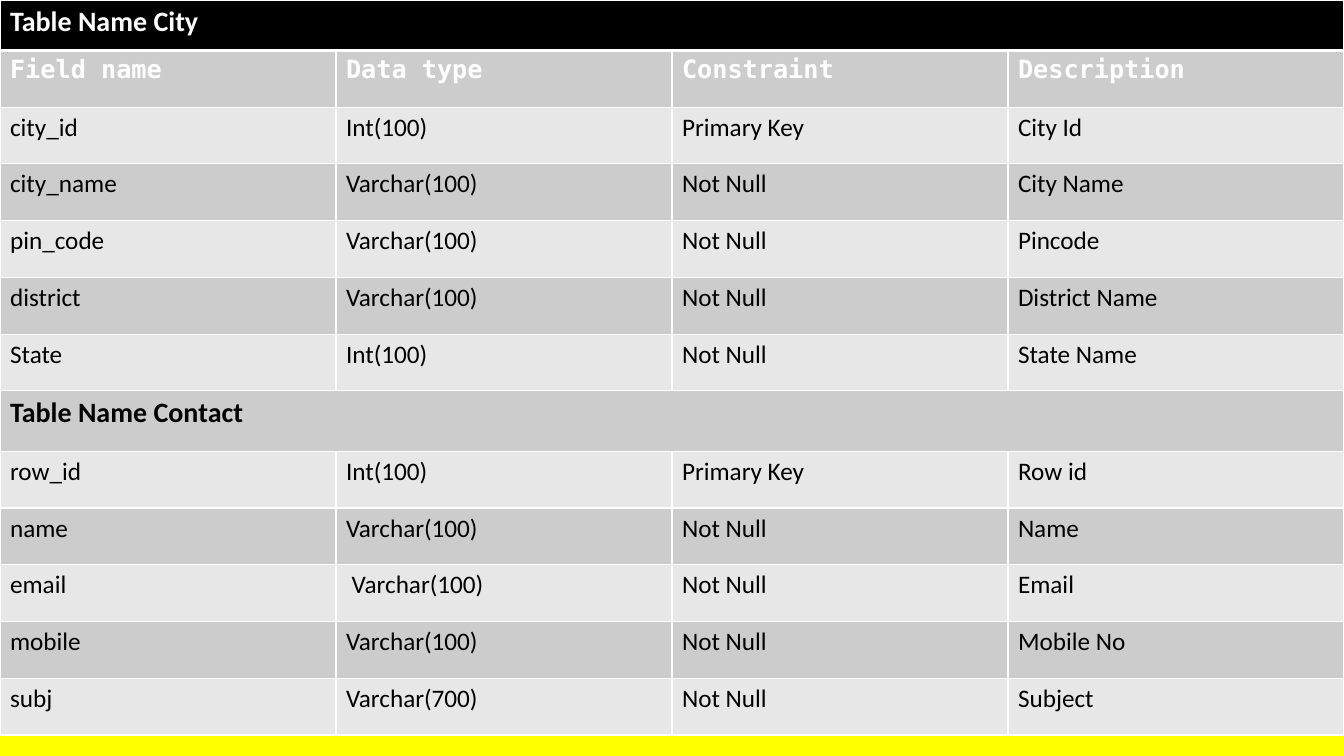
import pptx
import pptx.util
import pptx.dml.color
import pptx.oxml
import pptx.oxml.ns
from lxml import etree

Cm = pptx.util.Cm
COLORS = {"white": "FFFFFF", "black": "000000", "dark_band": "CCCCCC",
          "light_band": "E7E7E7", "green": "00B050", "yellow": "FFFF00"}
BACKDROP_STOPS = [(0, "green"), (50, "yellow"), (73, "yellow"), (95, "yellow")]
CITY_TITLE = "Table Name City"
CONTACT_TITLE = "Table Name Contact"
HEADINGS = ["Field name", "Data type", "Constraint", "Description"]
CITY_FIELDS = [
    ["city_id", "Int(100)", "Primary Key", "City Id"],
    ["city_name", "Varchar(100)", "Not Null", "City Name"],
    ["pin_code", "Varchar(100)", "Not Null", "Pincode"],
    ["district", "Varchar(100)", "Not Null", "District Name"],
    ["State", "Int(100)", "Not Null", "State Name"],
]
CONTACT_FIELDS = [
    ["row_id", "Int(100)", "Primary Key", "Row id"],
    ["name", "Varchar(100)", "Not Null", "Name"],
    ["email", " Varchar(100)", "Not Null", "Email"],
    ["mobile", "Varchar(100)", "Not Null", "Mobile No"],
    ["subj", "Varchar(700)", "Not Null", "Subject"],
]
SCHEMA = [[CITY_TITLE], HEADINGS, *CITY_FIELDS, [CONTACT_TITLE], *CONTACT_FIELDS]
ROW_HEIGHT = Cm(1.43)
TITLE_HEIGHTS = {CITY_TITLE: Cm(1.27), CONTACT_TITLE: Cm(1.52)}


def rgb(name):
    """Return the named palette colour."""
    return pptx.dml.color.RGBColor.from_string(COLORS[name])


def write_text(cell, text, font="Calibri", size=18, color="black", bold=False):
    """Write formatted text into a cell."""
    paragraph = cell.text_frame.paragraphs[0]
    run = paragraph.add_run()
    run.text = text
    run.font.name = font
    run.font.size = pptx.util.Pt(size)
    run.font.bold = bold
    run.font.color.rgb = rgb(color)


def style_cell(cell, band, top=1, bottom=1):
    """Give a cell white borders and a solid fill."""
    properties = cell._tc.get_or_add_tcPr()
    for side, points in (("L", 1), ("R", 1), ("T", top), ("B", bottom)):
        properties.append(pptx.oxml.parse_xml(
            f'<a:ln{side} {pptx.oxml.ns.nsdecls("a")} w="{pptx.util.Pt(points)}">'
            f'<a:solidFill><a:srgbClr val="{COLORS["white"]}"/></a:solidFill>'
            f'</a:ln{side}>'))
    cell.fill.solid()
    cell.fill.fore_color.rgb = rgb(band)


def paint_backdrop(slide):
    """Fill the slide background with a green to yellow gradient."""
    fill = slide.background.fill
    fill.gradient()
    fill.gradient_angle = 270
    stop_list = slide.background._cSld.find(".//" + pptx.oxml.ns.qn("a:gsLst"))
    for stop in list(stop_list):
        stop_list.remove(stop)
    for percent, color in BACKDROP_STOPS:
        stop = etree.SubElement(stop_list, pptx.oxml.ns.qn("a:gs"), pos=str(percent * 1000))
        etree.SubElement(stop, pptx.oxml.ns.qn("a:srgbClr"), val=COLORS[color])


def add_schema(slide, left, top, width):
    """Place the table of city and contact fields."""
    heights = [TITLE_HEIGHTS.get(entry[0], ROW_HEIGHT) for entry in SCHEMA]
    columns = len(HEADINGS)
    schema = slide.shapes.add_table(
        len(SCHEMA), columns, left, top, width, sum(heights)).table
    for column in schema.columns:
        column.width = width // columns
    for index, (entry, height) in enumerate(zip(SCHEMA, heights)):
        schema.rows[index].height = height
        band = "black" if index == 0 else "dark_band" if index % 2 else "light_band"
        text_format = {}
        if entry is HEADINGS:
            text_format = {"font": "DejaVu Sans Mono", "color": "white", "bold": True}
        elif len(entry) == 1:
            schema.cell(index, 0).merge(schema.cell(index, columns - 1))
            text_format = {"size": 20, "bold": True,
                           "color": "black" if index else "white"}
        for position in range(columns):
            style_cell(schema.cell(index, position), band,
                       top=3 if index == 1 else 1, bottom=1 if index else 3)
        for position, text in enumerate(entry):
            write_text(schema.cell(index, position), text, **text_format)


def main():
    """Build and save the presentation."""
    deck = pptx.Presentation()
    deck.slide_width, deck.slide_height = Cm(33.87), Cm(19.05)
    slide = deck.slides.add_slide(deck.slide_layouts[6])
    paint_backdrop(slide)
    add_schema(slide, Cm(0), Cm(0), deck.slide_width)
    deck.save("out.pptx")


if __name__ == "__main__":
    main()
